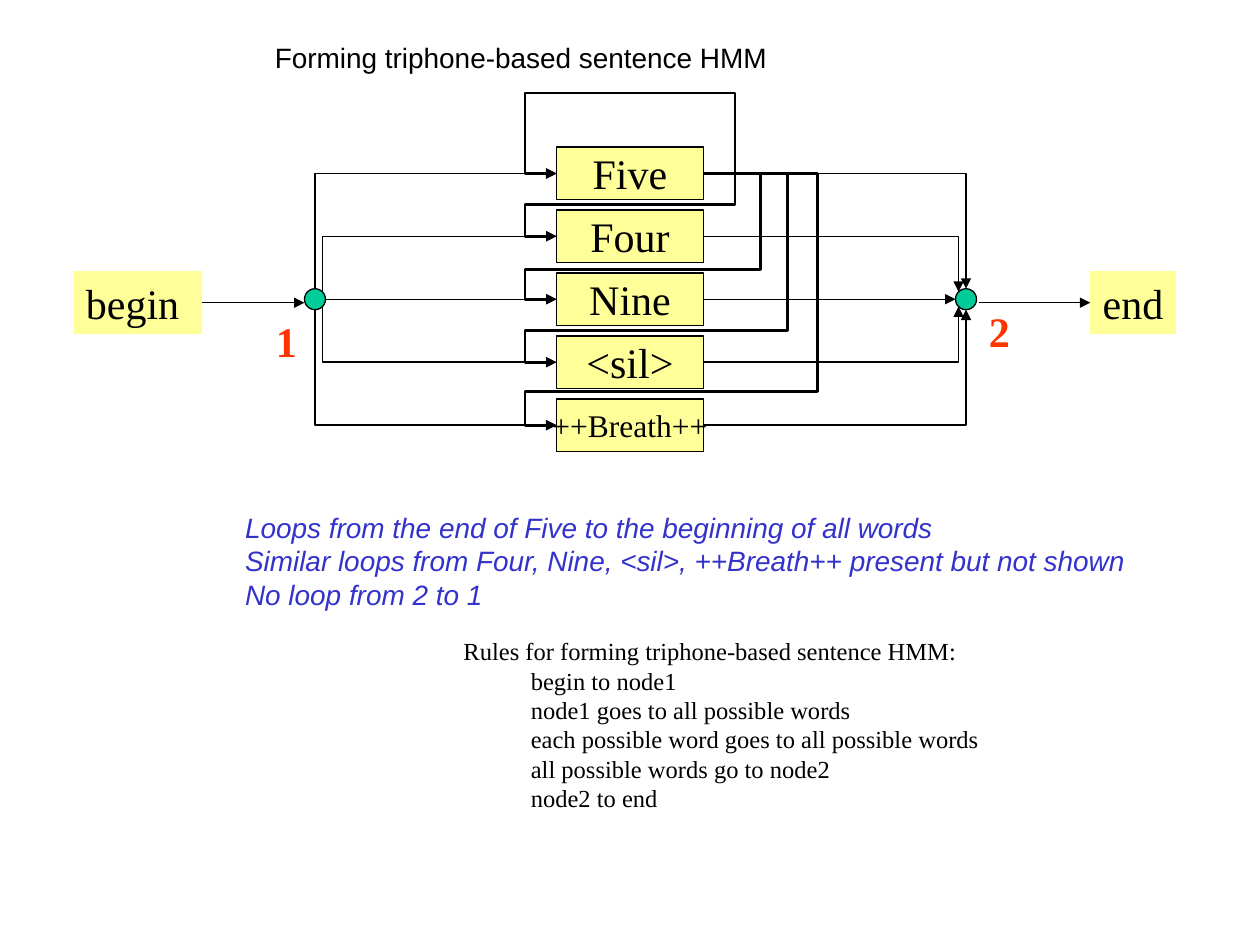
from dataclasses import dataclass
from lxml.etree import SubElement
from pptx import Presentation
from pptx.dml.color import RGBColor
from pptx.enum.shapes import MSO_CONNECTOR, MSO_SHAPE
from pptx.enum.text import MSO_ANCHOR, PP_ALIGN
from pptx.oxml.ns import qn
from pptx.util import Pt


@dataclass(frozen=True)
class Theme:
    black: RGBColor = RGBColor.from_string("000000")
    yellow: RGBColor = RGBColor.from_string("FFFF99")
    green: RGBColor = RGBColor.from_string("00CC99")
    red: RGBColor = RGBColor.from_string("FF3300")
    blue: RGBColor = RGBColor.from_string("3333CC")
    serif: str = "Times New Roman"
    sans: str = "Arial"
    large: float = 24
    medium: float = 18
    note: float = 16
    small: float = 14
    thin: float = 0.75
    thick: float = 1.5


THEME = Theme()
WORDS = ["Five", "Four", "Nine", "<sil>", "++Breath++"]
WORD_PITCH, WORD_HEIGHT = 36, 30
NODE_RADIUS = 6
DIAGONAL = 4.24
LOOP_LEFT = 300
LOOPS = [(420, 54), (420, 117), (434.7, 154), (450, 189), (467.3, 223.7)]


def write(shape, lines, size, font=THEME.serif, color=THEME.black, bold=False,
          italic=False, align=PP_ALIGN.LEFT, anchor=MSO_ANCHOR.TOP, wrap=False, indent=0):
    frame = shape.text_frame
    frame.word_wrap = wrap
    frame.vertical_anchor = anchor
    frame.text = "\n".join(lines)
    for index, para in enumerate(frame.paragraphs):
        para.alignment = align
        para.font.size, para.font.name = Pt(size), font
        para.font.bold, para.font.italic = bold, italic
        para.font.color.rgb = color
        if indent and index:
            properties = para._p.get_or_add_pPr()
            properties.set("marL", str(Pt(indent)))
            properties.set("indent", "0")


def add_text(page, box, lines, size, **style):
    label = page.shapes.add_textbox(*map(Pt, box))
    write(label, lines, size, **style)


def add_block(page, kind, box, fill, outlined=True):
    block = page.shapes.add_shape(kind, *map(Pt, box))
    block.shadow.inherit = False
    block.fill.solid()
    block.fill.fore_color.rgb = fill
    if outlined:
        block.line.color.rgb = THEME.black
        block.line.width = Pt(THEME.thin)
    else:
        block.line.fill.background()
    return block


def add_arrow(page, start, end, kind=MSO_CONNECTOR.STRAIGHT, width=THEME.thin, arrow="a:tailEnd"):
    link = page.shapes.add_connector(kind, *map(Pt, (*start, *end)))
    link.line.color.rgb = THEME.black
    link.line.width = Pt(width)
    SubElement(link.line._get_or_add_ln(), qn(arrow), type="triangle")
    SubElement(link._element.spPr, qn("a:effectLst"))
    return link


def add_bend(page, start, end, preset, adjustments=(), **style):
    link = add_arrow(page, start, end, MSO_CONNECTOR.ELBOW, **style)
    geometry = link._element.spPr.find(qn("a:prstGeom"))
    geometry.set("prst", preset)
    guides = geometry.find(qn("a:avLst"))
    for number, value in enumerate(adjustments, 1):
        SubElement(guides, qn("a:gd"), name=f"adj{number}", fmla=f"val {round(value * 100000)}")


def add_terminal(page, box, text, wrap):
    terminal = add_block(page, MSO_SHAPE.RECTANGLE, box, THEME.yellow, outlined=False)
    write(terminal, [text], THEME.large, wrap=wrap)
    return terminal


def add_node(page, x, y):
    box = (x - NODE_RADIUS, y - NODE_RADIUS, 2 * NODE_RADIUS, 2 * NODE_RADIUS)
    add_block(page, MSO_SHAPE.OVAL, box, THEME.green)


def add_words(page, left, top, width):
    words = []
    for index, text in enumerate(WORDS):
        box = (left, top + index * WORD_PITCH, width, WORD_HEIGHT)
        word = add_block(page, MSO_SHAPE.RECTANGLE, box, THEME.yellow)
        size = THEME.medium if text.startswith("+") else THEME.large
        write(word, [text], size, align=PP_ALIGN.CENTER, anchor=MSO_ANCHOR.MIDDLE)
        words.append(word)
    return words


def link_words(page, words, left, right, top, node_left, node_right, node_y):
    for index, word in enumerate(words):
        y = top + WORD_HEIGHT / 2 + index * WORD_PITCH
        if y == node_y:
            entry = add_arrow(page, (node_left + NODE_RADIUS, y), (left, y))
            entry.end_connect(word, 1)
            leave = add_arrow(page, (right, y), (node_right - NODE_RADIUS, y))
            leave.begin_connect(word, 3)
            continue
        outer = index in (0, len(words) - 1)
        shift = 0 if outer else DIAGONAL
        rise = NODE_RADIUS if outer else DIAGONAL
        node_edge = node_y + (rise if y > node_y else -rise)
        add_bend(page, (left, y), (node_left + shift, node_edge), "bentConnector2", arrow="a:headEnd")
        add_bend(page, (right, y), (node_right - shift, node_edge), "bentConnector2")


def add_loops(page, left, right, top):
    start_y = top + WORD_HEIGHT / 2
    width = right - left
    for index, (turn_x, cross_y) in enumerate(LOOPS):
        drop = max(index * WORD_PITCH, 0.25)
        bends = ((right - turn_x) / width, (cross_y - start_y) / drop, (right - LOOP_LEFT) / width)
        add_bend(page, (right, start_y), (left, start_y + drop), "bentConnector5", bends,
                 width=THEME.thick)


def add_diagram(page, box):
    left, top, width, height = box
    node_left, node_right = left + 138, left + 510
    word_left, word_top, word_width = left + 276, top + 30, 84
    word_right = word_left + word_width
    node_y = word_top + WORD_HEIGHT / 2 + 2 * WORD_PITCH
    begin = add_terminal(page, (left, top + 101, 73.5, 36), "begin", True)
    end = add_terminal(page, (left + width - 49, top + 101, 49, 36), "end", False)
    words = add_words(page, word_left, word_top, word_width)
    link_y = top + 119
    entry = add_arrow(page, (left + 73.5, link_y), (node_left - NODE_RADIUS, link_y))
    entry.begin_connect(begin, 3)
    leave = add_arrow(page, (node_right + 7.5, link_y), (left + width - 49, link_y))
    leave.end_connect(end, 1)
    add_node(page, node_left, node_y)
    add_node(page, node_right, node_y)
    link_words(page, words, word_left, word_right, word_top, node_left, node_right, node_y)
    add_loops(page, word_left, word_right, word_top)
    for text, x, y in (("1", left + 108.5, top + 123), ("2", left + 516, top + 117)):
        add_text(page, (x, y, 26, 36), [text], THEME.large, color=THEME.red, bold=True)


def add_notes(page, box):
    lines = ["Loops from the end of Five to the beginning of all words",
             "Similar loops from Four, Nine, <sil>, ++Breath++ present but not shown",
             "No loop from 2 to 1"]
    add_text(page, box, lines, THEME.note, font=THEME.sans, color=THEME.blue, italic=True)


def add_rules(page, box):
    lines = ["Rules for forming triphone-based sentence HMM:", "begin to node1",
             "node1 goes to all possible words", "each possible word goes to all possible words",
             "all possible words go to node2", "node2 to end"]
    add_text(page, box, lines, THEME.small, indent=38.5)


def main():
    deck = Presentation()
    deck.slide_width, deck.slide_height = Pt(720), Pt(540)
    page = deck.slides.add_slide(deck.slide_layouts[6])
    add_text(page, (150, 19.5, 324, 26.5), ["Forming triphone-based sentence HMM"], THEME.note,
             font=THEME.sans, wrap=True)
    add_diagram(page, (42, 54, 630, 205))
    add_notes(page, (133, 288, 518.5, 65))
    add_rules(page, (257.75, 360, 309, 108))
    deck.save("out.pptx")


if __name__ == "__main__":
    main()
